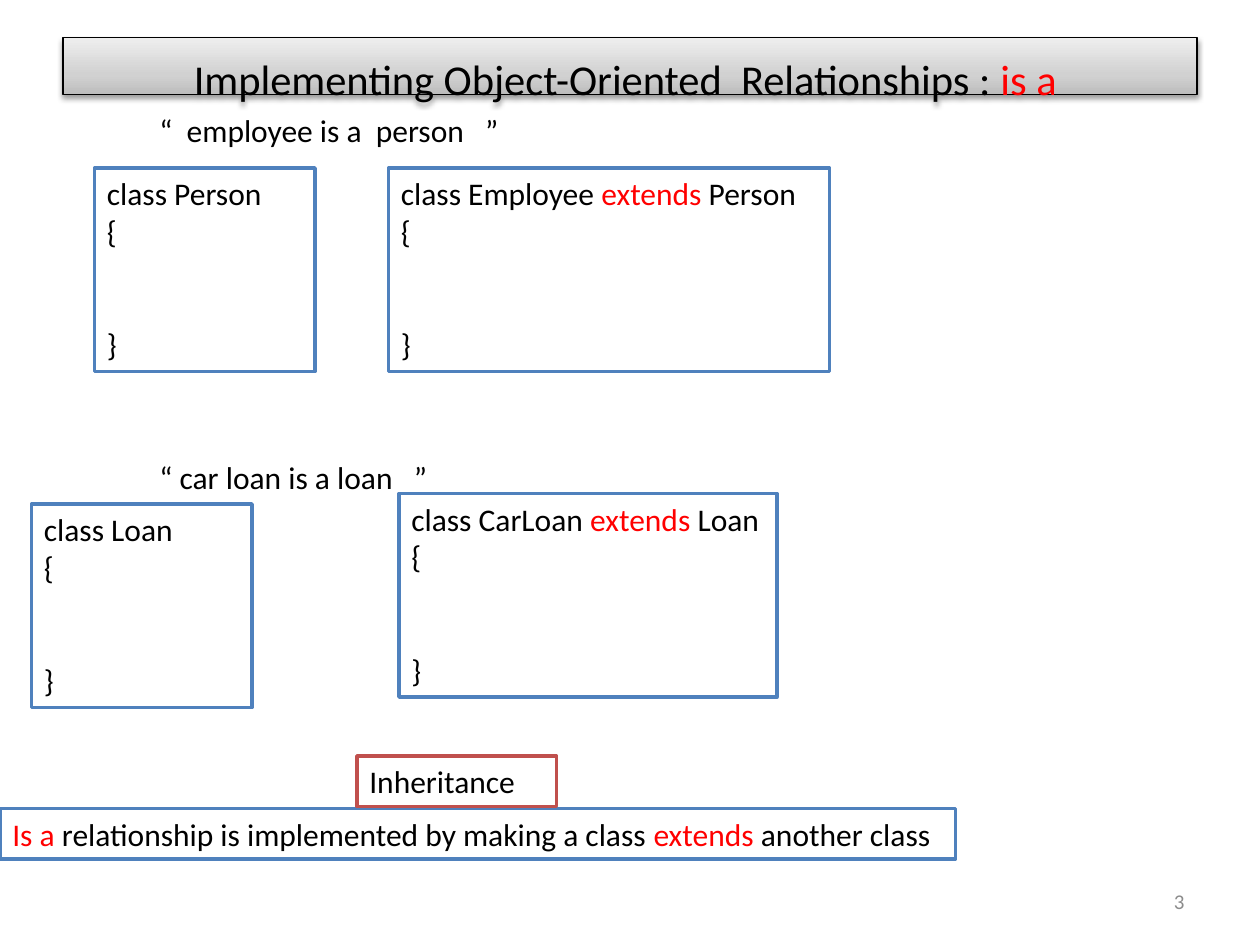
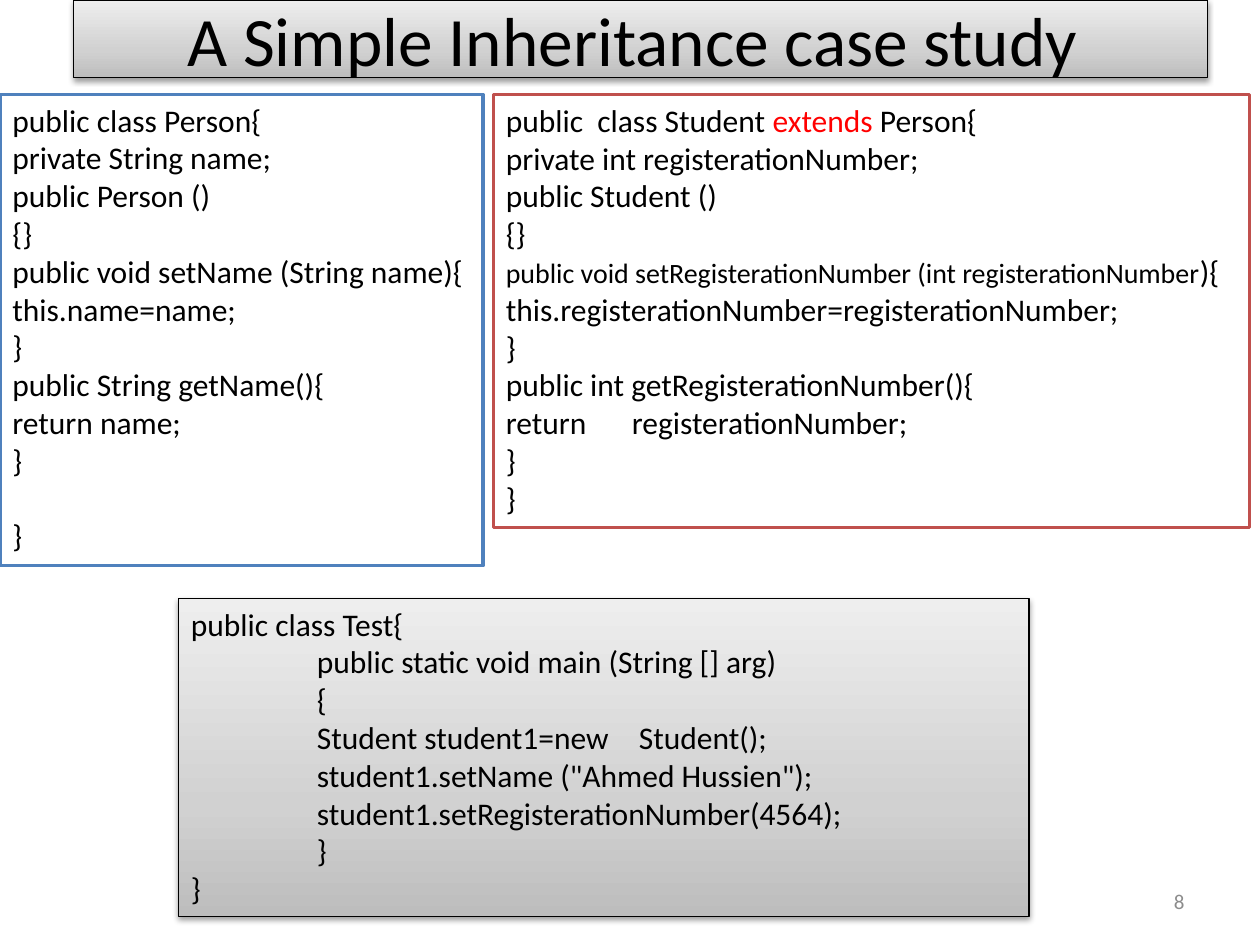
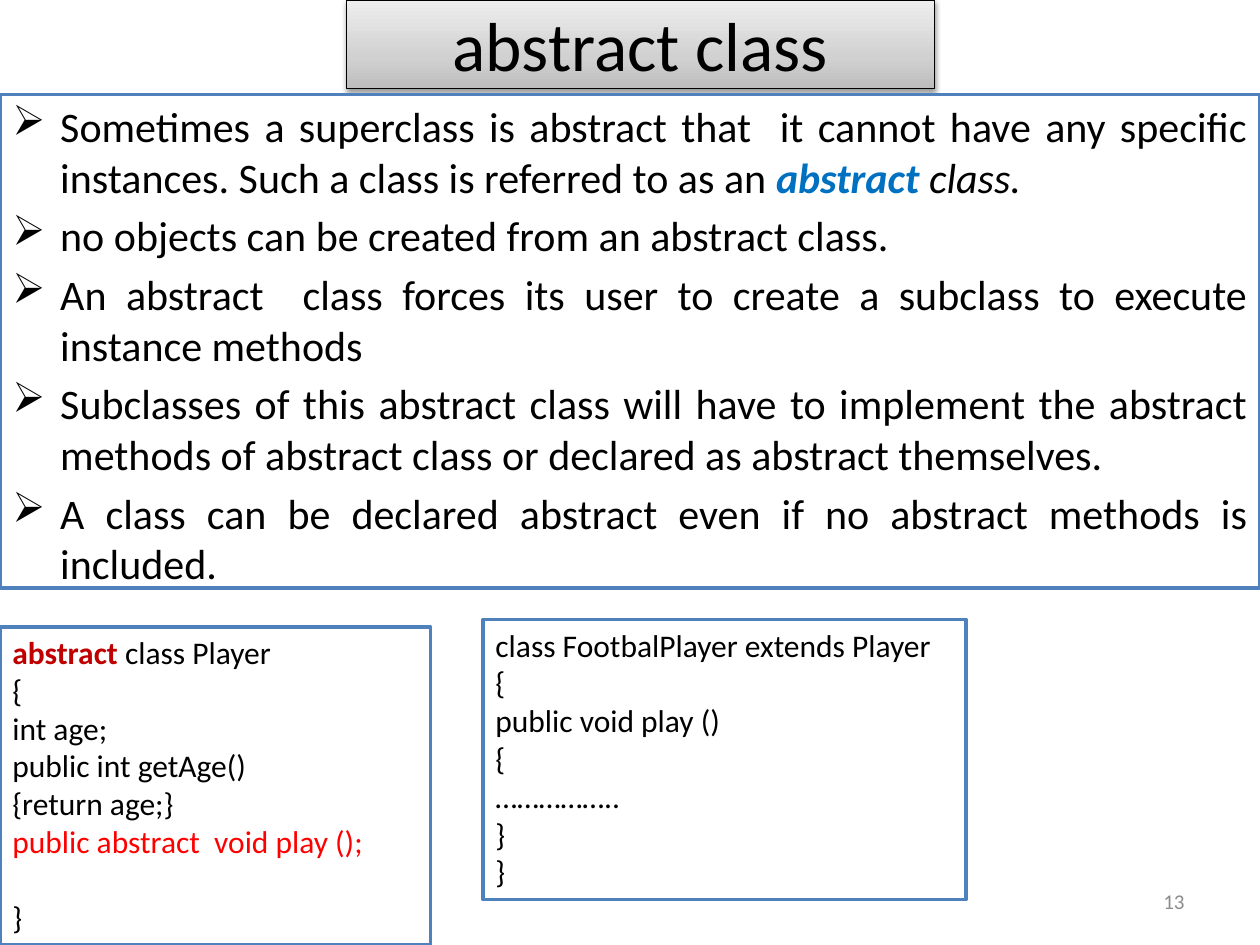
from dataclasses import dataclass

from lxml import etree
from pptx import Presentation
from pptx import util as u
from pptx.dml.color import RGBColor
from pptx.enum import shapes, text
from pptx.oxml import ns

FONT = "Calibri"
BLACK = RGBColor(0x00, 0x00, 0x00)
WHITE = RGBColor(0xFF, 0xFF, 0xFF)
RED = RGBColor(0xFF, 0x00, 0x00)
DARK_RED = RGBColor(0xC0, 0x00, 0x00)
SKY = RGBColor(0x00, 0x70, 0xC0)
BLUE = RGBColor(0x4F, 0x81, 0xBD)
BRICK = RGBColor(0xC0, 0x50, 0x4D)
GREY = RGBColor(0x8C, 0x8C, 0x8C)
BAND_STOPS = ((0, "BDBDBD"), (35, "D1D1D1"), (100, "EEEEEE"))

WIDTH, HEIGHT = u.Inches(10), u.Inches(7.5)
COLS, ROWS = 120, 90
LINE_ROWS, PAD_ROWS = 3.64, 1.2
LINE_PT = 21.6
CODE_PT, POINT_PT, TITLE_PT, NUMBER_PT = 18, 24, 39.6, 12


@dataclass(frozen=True)
class Run:
    text: str
    color: RGBColor = BLACK
    size: float | None = None
    bold: bool = False
    italic: bool = False


@dataclass(frozen=True)
class Para:
    runs: tuple[Run, ...]
    skip: int = 0
    indent: float = 0


@dataclass(frozen=True)
class Area:
    col: float
    row: float
    cols: float
    rows: float


@dataclass(frozen=True)
class Box:
    col: float
    row: float
    cols: float
    paras: tuple[Para, ...]
    edge: RGBColor | None = BLUE
    band: bool = False

    @property
    def area(self) -> Area:
        lines = sum(1 + para.skip for para in self.paras)
        return Area(self.col, self.row, self.cols, PAD_ROWS + LINE_ROWS * lines)


def line(*parts: str | Run, skip: int = 0, indent: float = 0) -> Para:
    runs = tuple(Run(part) if isinstance(part, str) else part for part in parts)
    return Para(runs, skip, indent)


def code(*lines: str | Para) -> tuple[Para, ...]:
    return tuple(line(item) if isinstance(item, str) else item for item in lines)


def empty_class(*header: str | Run) -> tuple[Para, ...]:
    return code(line(*header), "{", line("}", skip=2))


def frame(area: Area) -> tuple[int, int, int, int]:
    return (int(WIDTH * area.col / COLS), int(HEIGHT * area.row / ROWS),
            int(WIDTH * area.cols / COLS), int(HEIGHT * area.rows / ROWS))


def add_runs(p, runs: tuple[Run, ...], size: float) -> None:
    for run in runs:
        r = p.add_run()
        r.text = run.text
        r.font.name = FONT
        r.font.size = u.Pt(run.size or size)
        r.font.color.rgb = run.color
        r.font.bold, r.font.italic = run.bold, run.italic


def set_frame(sp, anchor=text.MSO_ANCHOR.TOP):
    tf = sp.text_frame
    tf.word_wrap = True
    tf.auto_size = text.MSO_AUTO_SIZE.NONE
    tf.vertical_anchor = anchor
    return tf


def paint_band(sp) -> None:
    sp.fill.gradient()
    sp.fill.gradient_angle = 90
    stops = sp.element.spPr.find(".//" + ns.qn("a:gsLst"))
    for stop in list(stops):
        stops.remove(stop)
    for share, color in BAND_STOPS:
        gs = etree.SubElement(stops, ns.qn("a:gs"), pos=str(share * 1000))
        etree.SubElement(gs, ns.qn("a:srgbClr"), val=color)
    sp.line.color.rgb = BLACK
    sp.line.width = u.Pt(0.75)
    sp.shadow.inherit = False
    effects = sp.element.spPr.find(ns.qn("a:effectLst"))
    shadow = etree.SubElement(effects, ns.qn("a:outerShdw"), blurRad="40000",
                              dist="20000", dir="5400000", rotWithShape="0")
    tint = etree.SubElement(shadow, ns.qn("a:srgbClr"), val="000000")
    etree.SubElement(tint, ns.qn("a:alpha"), val="38000")


def add_panel(s, area: Area, edge: RGBColor):
    sp = s.shapes.add_shape(shapes.MSO_SHAPE.RECTANGLE, *frame(area))
    sp.shadow.inherit = False
    sp.fill.solid()
    sp.fill.fore_color.rgb = WHITE
    sp.line.color.rgb = edge
    sp.line.width = u.Pt(2)
    return sp


def add_box(s, box: Box) -> None:
    if box.edge is None:
        sp = s.shapes.add_textbox(*frame(box.area))
    else:
        sp = add_panel(s, box.area, box.edge)
        if box.band:
            paint_band(sp)
    tf = set_frame(sp)
    for i, para in enumerate(box.paras):
        p = tf.add_paragraph() if i else tf.paragraphs[0]
        p.alignment = text.PP_ALIGN.LEFT
        p.space_before = u.Pt(para.skip * LINE_PT)
        if para.indent:
            pPr = p._p.get_or_add_pPr()
            pPr.set("marL", str(u.Inches(para.indent)))
            pPr.set("indent", "0")
        add_runs(p, para.runs, CODE_PT)


def add_points(s, area: Area, points: tuple[Para, ...]) -> None:
    tf = set_frame(add_panel(s, area, BLUE))
    hang = u.Inches(0.38)
    for i, point in enumerate(points):
        p = tf.add_paragraph() if i else tf.paragraphs[0]
        p.alignment = text.PP_ALIGN.JUSTIFY
        p.space_before = u.Pt(POINT_PT * 0.2)
        pPr = p._p.get_or_add_pPr()
        pPr.set("marL", str(hang))
        pPr.set("indent", str(-hang))
        etree.SubElement(pPr, ns.qn("a:buChar"), char="➢")
        add_runs(p, point.runs, POINT_PT)


def add_slide(prs, number: int, area: Area, title: Para, size: float = TITLE_PT):
    s = prs.slides.add_slide(prs.slide_layouts[5])
    sp = s.shapes.title
    sp.left, sp.top, sp.width, sp.height = frame(area)
    paint_band(sp)
    tf = set_frame(sp, text.MSO_ANCHOR.MIDDLE)
    p = tf.paragraphs[0]
    p.alignment = text.PP_ALIGN.CENTER
    add_runs(p, title.runs, size)

    sp = s.shapes.add_textbox(*frame(Area(86, 83.4, 28, 4.8)))
    p = set_frame(sp, text.MSO_ANCHOR.MIDDLE).paragraphs[0]
    p.alignment = text.PP_ALIGN.RIGHT
    add_runs(p, (Run(str(number), GREY),), NUMBER_PT)
    return s


def add_boxes(s, boxes: tuple[Box, ...]) -> None:
    for box in boxes:
        add_box(s, box)


def relationship_slide(prs) -> None:
    title = line("Implementing Object-Oriented  Relationships : ", Run("is a ", RED))
    s = add_slide(prs, 3, Area(6, 3.6, 108, 5.4), title, 24.3)
    tf = s.shapes.title.text_frame
    tf.vertical_anchor = text.MSO_ANCHOR.TOP
    tf.margin_top, tf.margin_bottom = u.Inches(0.12), 0
    extends = Run("extends", RED)
    add_boxes(s, (
        Box(14, 10, 37, code("“  employee is a  person   ”"), None),
        Box(9, 16, 21, empty_class("class Person")),
        Box(0, 77, 91, code(line(
            Run("Is a ", RED), "relationship is implemented by making a class ",
            extends, " another class"))),
        Box(37, 16, 42, empty_class("class Employee ", extends, " Person")),
        Box(34, 72, 19, code("Inheritance"), BRICK),
        Box(14, 43, 37, code("“ car loan is a loan   ”"), None),
        Box(3, 48, 21, empty_class("class Loan")),
        Box(38, 47, 36, empty_class("class CarLoan ", extends, " Loan")),
    ))


def case_study_slide(prs) -> None:
    s = add_slide(prs, 8, Area(7, 0, 108, 7.4), line("A Simple Inheritance case study "))
    person = code(
        "public class Person{", "private String name;", "public Person ()", "{}",
        "public void setName (String name){", "this.name=name;", "}",
        "public String getName(){", "return name;", "}", line("}", skip=1))
    student = code(
        line("public  class Student ", Run("extends", RED), " Person{"),
        "private int registerationNumber;", "public Student ()", "{}",
        line(Run("public void setRegisterationNumber (int registerationNumber", size=16),
             "){"),
        "this.registerationNumber=registerationNumber;", "}",
        "public int getRegisterationNumber(){", "return\tregisterationNumber;", "}", "}")
    body = (
        "public static void main (String [] arg)", "{",
        "Student student1=new \t Student();",
        'student1.setName ("Ahmed Hussien");',
        "student1.setRegisterationNumber(4564);", "}")
    test = code("public class Test{", *(line(item, indent=1) for item in body), "}")
    add_boxes(s, (
        Box(0, 9, 46, person),
        Box(47, 9, 72, student, BRICK),
        Box(17, 57, 81, test, band=True),
    ))


def abstract_slide(prs) -> None:
    s = add_slide(prs, 13, Area(33, 0, 56, 8.4), line("abstract class"))
    add_points(s, Area(0, 9, 120, 47), code(
        line("Sometimes a superclass is abstract that  it cannot have any specific "
             "instances. Such a class is referred to as an ",
             Run("abstract", SKY, bold=True, italic=True), Run(" class.", italic=True)),
        "no objects can be created from an abstract class.",
        "An abstract  class forces its user to create a subclass to execute "
        "instance methods ",
        "Subclasses of this abstract class will have to implement the abstract "
        "methods of abstract class or declared as abstract themselves.",
        "A class can be declared abstract even if no abstract methods is included."))
    player = code(
        line(Run("abstract", DARK_RED, bold=True), " class Player"), "{", "int age;",
        "public int getAge()", "{return age;}",
        line(Run("public abstract  void play ();", RED)), line("}", skip=1))
    footballer = code(
        "class FootbalPlayer extends Player", "{", "public void play ()", "{",
        "……………..", "}", "}")
    add_boxes(s, (Box(0, 59.7, 41, player), Box(46, 59, 46, footballer)))


def main() -> None:
    prs = Presentation()
    prs.slide_width, prs.slide_height = WIDTH, HEIGHT
    relationship_slide(prs)
    case_study_slide(prs)
    abstract_slide(prs)
    prs.save("out.pptx")


if __name__ == "__main__":
    main()
